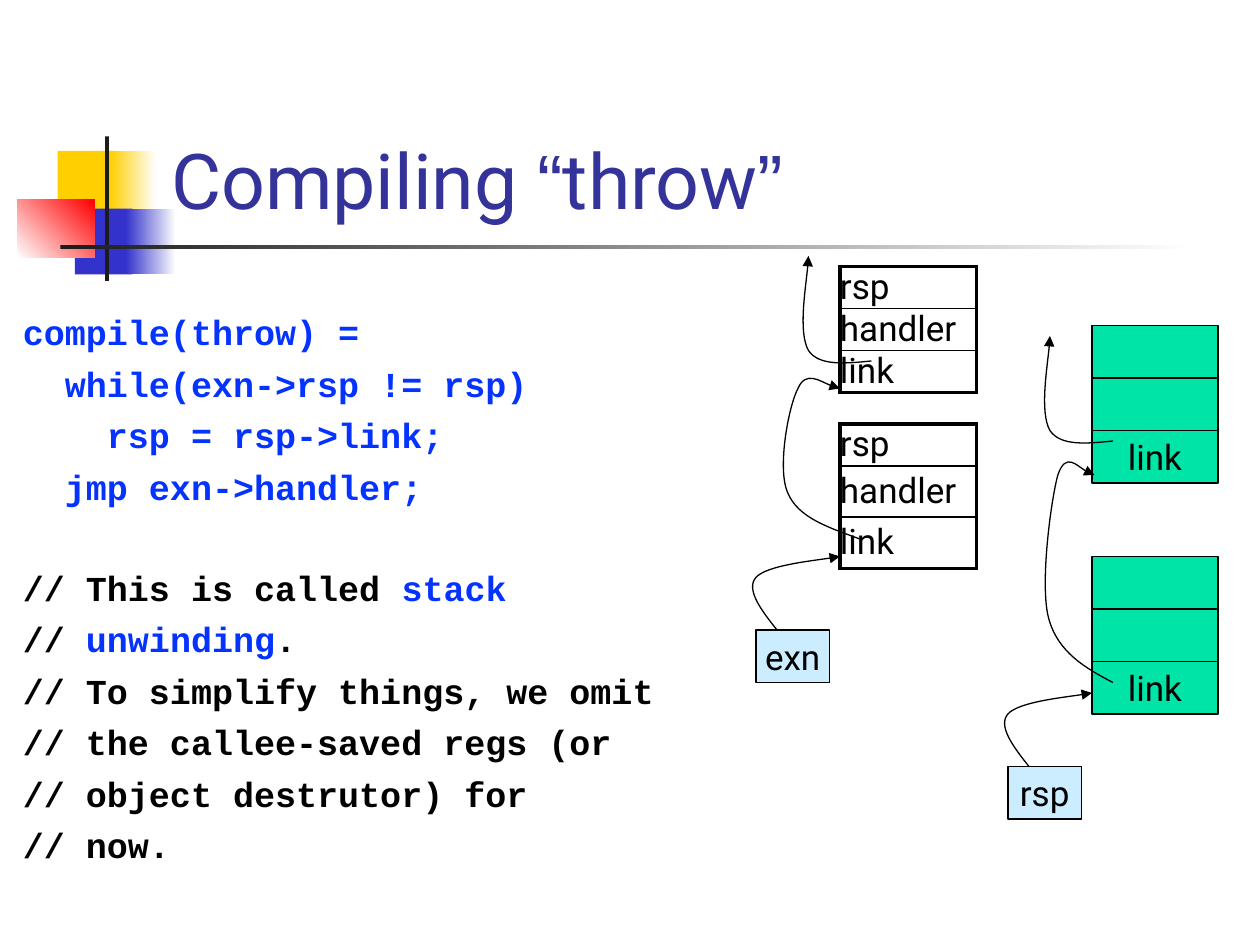
from dataclasses import dataclass
from typing import Any, Optional

import pptx
import pptx.dml.color
import pptx.enum.shapes
import pptx.enum.text
import pptx.oxml
import pptx.oxml.ns
import pptx.util
from lxml import etree

RGBColor = pptx.dml.color.RGBColor
qn = pptx.oxml.ns.qn
PX = 9525  # EMU in one px, 96 px to the inch

BLACK = RGBColor(0x00, 0x00, 0x00)
WHITE = RGBColor(0xFF, 0xFF, 0xFF)
YELLOW = RGBColor(0xFF, 0xCF, 0x01)
BLUE = RGBColor(0x33, 0x33, 0xCC)
RED = RGBColor(0xFF, 0x00, 0x00)
CHARCOAL = RGBColor(0x1C, 0x1C, 0x1C)
TITLE_BLUE = RGBColor(0x33, 0x33, 0x99)
CODE_BLUE = RGBColor(0x04, 0x32, 0xFF)
GREEN = RGBColor(0x00, 0xE4, 0xA8)
PALE_BLUE = RGBColor(0xCC, 0xEC, 0xFF)

LABEL = {"name": "Roboto", "size": pptx.util.Pt(20)}
CODE = {"name": "Courier New", "size": pptx.util.Pt(20), "bold": True}
TITLE_SIZE = {"size": pptx.util.Pt(44)}
THIN, THICK = 1, 2.25
CODE_GAP = 5.45
BLOCK_GAP = 33.6

Point = tuple[int, int]
Run = tuple[str, RGBColor]


@dataclass(frozen=True)
class Box:
    left: int
    top: int
    width: int
    height: int
    fill: RGBColor
    fade_to: Optional[RGBColor] = None
    angle: int = 0
    outlined: bool = False
    text: str = ""


@dataclass(frozen=True)
class HandlerTable:
    left: int
    top: int
    width: int
    row_heights: tuple[int, ...]


DECORATION = [
    Box(44, 115, 46, 50, YELLOW),
    Box(84, 115, 35, 50, YELLOW, WHITE),
    Box(57, 159, 44, 50, BLUE),
    Box(96, 159, 38, 50, BLUE, WHITE),
    Box(13, 152, 59, 44, WHITE, RED, 45),
    Box(80, 104, 3, 110, CHARCOAL),
    Box(46, 187, 864, 3, CHARCOAL, WHITE),
]
HANDLER_TABLES = [
    HandlerTable(640, 203, 104, (31, 31, 31)),
    HandlerTable(640, 323, 104, (31, 39, 39)),
]
STACK_FRAMES = [
    Box(832, top + 40 * row, 96, 40, GREEN, outlined=True, text=text)
    for top in (248, 424)
    for row, text in enumerate(("", "", "link"))
]
POINTERS = [
    Box(576, 480, 56, 40, PALE_BLUE, outlined=True, text="exn"),
    Box(768, 584, 56, 40, PALE_BLUE, outlined=True, text="rsp"),
]

# Each curve is a start point and then three points for every Bezier segment.
POINTER_CURVE = [(592, 480), (580, 465), (568, 449), (576, 440),
                 (584, 431), (630, 426), (640, 424)]
UPWARD_CURVE = [(664, 275), (644, 277), (624, 279), (616, 267),
                (608, 253), (616, 206), (616, 195)]
HANDLER_LINK = [(656, 411), (632, 402), (608, 395), (600, 375), (592, 356),
                (601, 309), (608, 296), (614, 282), (635, 296), (640, 296)]
FRAME_LINK = [(848, 520), (827, 509), (806, 497), (799, 471), (792, 445),
              (801, 380), (806, 362), (812, 344), (829, 362), (834, 362)]

TITLE = [("Compiling ", "Roboto"), ("“", "Arial"), ("throw", "Roboto"), ("”", "Arial")]
CODE_LINES: list[list[Run]] = [
    [("compile(throw) =", CODE_BLUE)],
    [("  while(exn->rsp != rsp)", CODE_BLUE)],
    [("    rsp = rsp->link;", CODE_BLUE)],
    [("  jmp exn->handler;", CODE_BLUE)],
]
COMMENT_LINES: list[list[Run]] = [
    [("// This is called ", BLACK), ("stack", CODE_BLUE)],
    [("//", BLACK), (" unwinding", CODE_BLUE), (".", BLACK)],
    [("// To simplify things, we omit", BLACK)],
    [("// the callee-saved regs (or", BLACK)],
    [("// object destrutor) for", BLACK)],
    [("// now.", BLACK)],
]


def set_format(target: Any, values: dict[str, Any]) -> None:
    for name, value in values.items():
        setattr(target, name, value)


def add_run(paragraph: Any, text: str, color: RGBColor, values: dict[str, Any]) -> None:
    run = paragraph.add_run()
    run.text = text
    set_format(run.font, values)
    run.font.color.rgb = color


def set_outline(shape: Any) -> None:
    shape.line.color.rgb = BLACK
    shape.line.width = pptx.util.Pt(0.75)


def add_box(slide: Any, box: Box) -> None:
    shape = slide.shapes.add_shape(
        pptx.enum.shapes.MSO_SHAPE.RECTANGLE,
        box.left * PX, box.top * PX, box.width * PX, box.height * PX)
    shape.shadow.inherit = False
    if box.fade_to is None:
        shape.fill.solid()
        shape.fill.fore_color.rgb = box.fill
    else:
        shape.fill.gradient()
        shape.fill.gradient_angle = box.angle
        for stop, color in zip(shape.fill.gradient_stops, (box.fill, box.fade_to)):
            stop.color.rgb = color
    if box.outlined:
        set_outline(shape)
    else:
        shape.line.fill.background()
    if box.text:
        shape.text_frame.word_wrap = False
        paragraph = shape.text_frame.paragraphs[0]
        paragraph.alignment = pptx.enum.text.PP_ALIGN.CENTER
        add_run(paragraph, box.text, BLACK, LABEL)


def add_text_box(slide: Any, left: int, top: int, width: int, height: int) -> Any:
    shape = slide.shapes.add_textbox(left * PX, top * PX, width * PX, height * PX)
    shape.text_frame.word_wrap = True
    return shape.text_frame


def add_border(cell: Any, side: str, points: float) -> None:
    properties = cell._tc.get_or_add_tcPr()
    line = etree.SubElement(properties, qn(f"a:ln{side}"), w=str(int(points * 12700)))
    fill = etree.SubElement(line, qn("a:solidFill"))
    etree.SubElement(fill, qn("a:srgbClr"), val=str(BLACK))


def add_handler_table(slide: Any, item: HandlerTable) -> None:
    labels = ("rsp", "handler", "link")
    table = slide.shapes.add_table(
        len(labels), 1, item.left * PX, item.top * PX,
        item.width * PX, sum(item.row_heights) * PX).table
    set_format(table, {"first_row": False, "horz_banding": False})
    last = len(labels) - 1
    for index, (label, height) in enumerate(zip(labels, item.row_heights)):
        table.rows[index].height = height * PX
        cell = table.cell(index, 0)
        set_format(cell, {"margin_left": 0, "margin_right": 0, "margin_top": 0,
                          "margin_bottom": 0,
                          "vertical_anchor": pptx.enum.text.MSO_ANCHOR.MIDDLE})
        add_border(cell, "L", THICK)
        add_border(cell, "R", THICK)
        add_border(cell, "T", THICK if index == 0 else THIN)
        add_border(cell, "B", THICK if index == last else THIN)
        cell.fill.background()
        add_run(cell.text_frame.paragraphs[0], label, BLACK, LABEL)


def add_curved_arrow(slide: Any, points: list[Point], right: int = 0, down: int = 0) -> None:
    """Draw a Bezier arrow, moved by the given offset."""
    moved = [(x + right, y + down) for x, y in points]
    builder = slide.shapes.build_freeform(*moved[0], scale=PX)
    builder.add_line_segments(moved[1:], close=False)
    shape = builder.convert_to_shape()
    shape.shadow.inherit = False
    shape.fill.background()
    set_outline(shape)
    outline = next(shape.element.iter(qn("a:path")))
    segments = outline.findall(qn("a:lnTo"))
    for start in range(0, len(segments), 3):
        curve = etree.SubElement(outline, qn("a:cubicBezTo"))
        for segment in segments[start:start + 3]:
            curve.append(segment[0])
            outline.remove(segment)
    etree.SubElement(shape.line._get_or_add_ln(), qn("a:tailEnd"), type="triangle")


def add_code(slide: Any) -> None:
    frame = add_text_box(slide, 8, 232, 528, 432)
    for index, runs in enumerate(CODE_LINES + COMMENT_LINES):
        paragraph = frame.add_paragraph() if index else frame.paragraphs[0]
        if index:
            gap = BLOCK_GAP if index == len(CODE_LINES) else CODE_GAP
            paragraph.space_before = pptx.util.Pt(gap)
        for text, color in runs:
            add_run(paragraph, text, color, CODE)


def main() -> None:
    presentation = pptx.Presentation()
    set_format(presentation, {"slide_width": 960 * PX, "slide_height": 720 * PX})
    slide = presentation.slides.add_slide(presentation.slide_layouts[6])
    for box in DECORATION:
        add_box(slide, box)
    title = add_text_box(slide, 121, 22, 818, 154)
    title.vertical_anchor = pptx.enum.text.MSO_ANCHOR.BOTTOM
    for text, font in TITLE:
        add_run(title.paragraphs[0], text, TITLE_BLUE, TITLE_SIZE | {"name": font})
    for table in HANDLER_TABLES:
        add_handler_table(slide, table)
    for box in STACK_FRAMES + POINTERS:
        add_box(slide, box)
    add_curved_arrow(slide, POINTER_CURVE)
    add_curved_arrow(slide, POINTER_CURVE, 192, 104)
    add_curved_arrow(slide, HANDLER_LINK)
    add_curved_arrow(slide, FRAME_LINK)
    add_curved_arrow(slide, UPWARD_CURVE)
    add_curved_arrow(slide, UPWARD_CURVE, 184, 61)
    add_code(slide)
    presentation.save("out.pptx")


if __name__ == "__main__":
    main()
